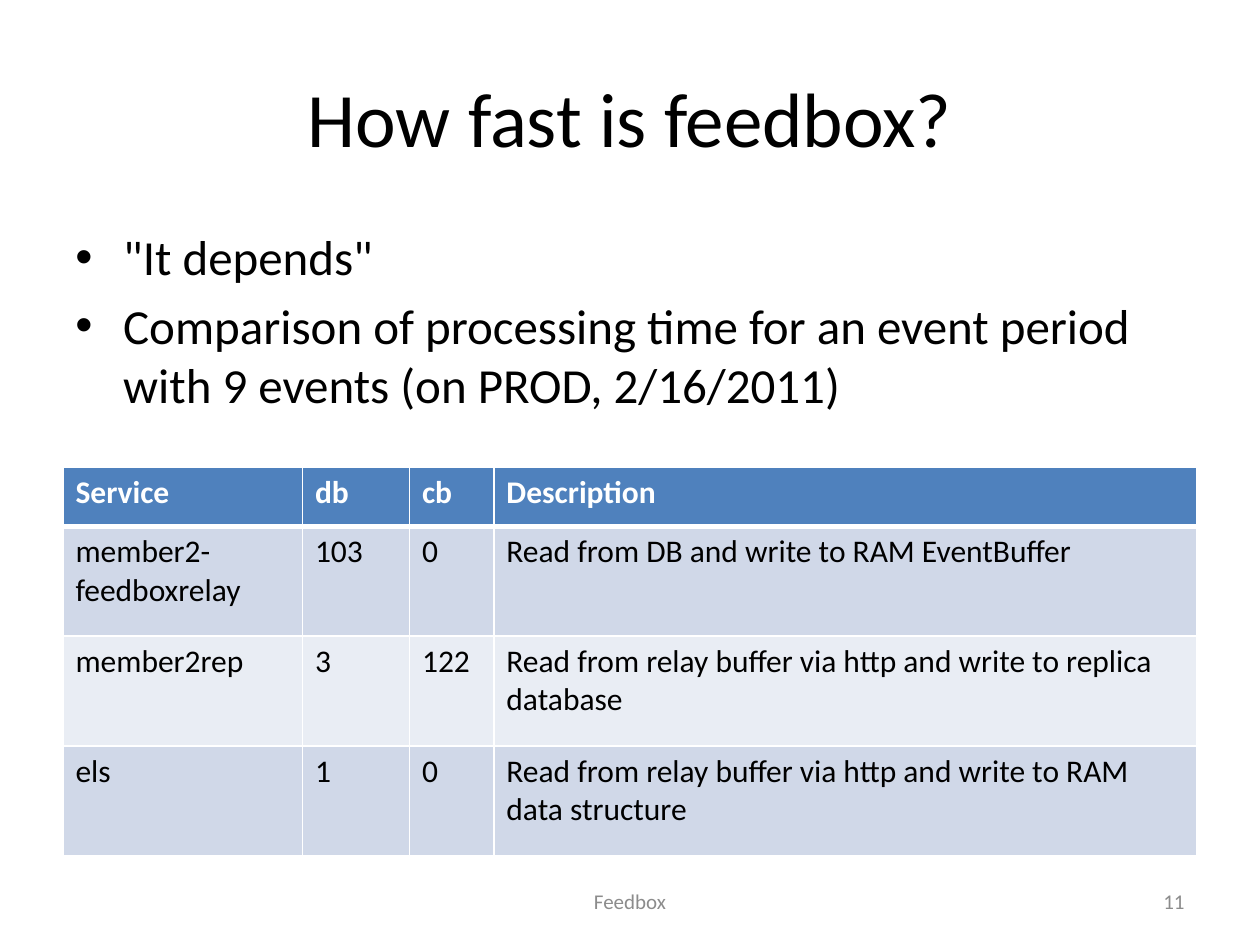
from lxml.etree import SubElement
from pptx import Presentation
from pptx.dml.color import RGBColor
from pptx.enum.text import MSO_ANCHOR, PP_ALIGN
from pptx.oxml.ns import qn
from pptx.util import Inches, Pt

# Content
TITLE = "How fast is feedbox?"
POINTS = [
    '"It depends"',
    "Comparison of processing time for an event period with 9 events (on PROD, 2/16/2011)",
]
ROWS = [
    ("Service", "db", "cb", "Description"),
    ("member2-\nfeedboxrelay", "103", "0", "Read from DB and write to RAM EventBuffer"),
    ("member2rep", "3", "122",
     "Read from relay buffer via http and write to replica database"),
    ("els", "1", "0", "Read from relay buffer via http and write to RAM data structure"),
]
FOOTER, NUMBER = "Feedbox", "11"

# Look
FONT = "Calibri"
COLORS = {"text": "000000", "white": "FFFFFF", "head": "4F81BD",
          "odd": "D0D8E8", "even": "E9EDF4", "gray": "8C8C8C"}

# Layout in inches
WIDTH, HEIGHT, EDGE = 10, 7.5, 0.5
SPAN = WIDTH - 2 * EDGE
COLS = [1.9, 0.85, 0.67, 5.58]
HEAD, BODY = 0.47, 0.87
TOP = 3.71
FOOT, LINE = 6.95, 0.4


def color(name):
    return RGBColor.from_string(COLORS[name])


def write(frame, text, size=18, ink="text", bold=False, align=PP_ALIGN.LEFT,
          anchor=MSO_ANCHOR.TOP, bullet=False):
    frame.word_wrap = True
    frame.vertical_anchor = anchor
    frame.text = text
    for par in frame.paragraphs:
        par.alignment = align
        font = par.runs[0].font
        font.name, font.size, font.bold = FONT, Pt(size), bold
        font.color.rgb = color(ink)
        if bullet:
            par.space_before = Pt(size * 0.2)
            props = par._p.get_or_add_pPr()
            props.set("marL", str(Inches(0.38)))
            props.set("indent", str(Inches(-0.38)))
            SubElement(props, qn("a:buFont"), typeface="Arial")
            SubElement(props, qn("a:buChar"), char="•")


def place(slide, box, text, **look):
    shape = slide.shapes.add_textbox(*map(Inches, box))
    write(shape.text_frame, text, **look)


def border(cell, head):
    props = cell._tc.get_or_add_tcPr()
    for side in "LRTB":
        thick = 3 if head and side == "B" else 1
        line = SubElement(props, qn(f"a:ln{side}"), w=str(Pt(thick)))
        fill = SubElement(line, qn("a:solidFill"))
        SubElement(fill, qn("a:srgbClr"), val=COLORS["white"])


def grid(slide):
    tall = [HEAD] + [BODY] * (len(ROWS) - 1)
    box = EDGE, TOP, SPAN, sum(tall)
    table = slide.shapes.add_table(len(ROWS), len(COLS), *map(Inches, box)).table
    for col, wide in zip(table.columns, COLS):
        col.width = Inches(wide)
    for i, (row, texts) in enumerate(zip(table.rows, ROWS)):
        row.height = Inches(tall[i])
        head = i == 0
        shade = "head" if head else "odd" if i % 2 else "even"
        for cell, text in zip(row.cells, texts):
            border(cell, head)
            cell.fill.solid()
            cell.fill.fore_color.rgb = color(shade)
            write(cell.text_frame, text, bold=head, ink="white" if head else "text")


def main():
    deck = Presentation()
    deck.slide_width, deck.slide_height = Inches(WIDTH), Inches(HEIGHT)
    slide = deck.slides.add_slide(deck.slide_layouts[6])
    mid = MSO_ANCHOR.MIDDLE

    # Title and points
    place(slide, (EDGE, 0.3, SPAN, 1.25), TITLE, size=44,
          align=PP_ALIGN.CENTER, anchor=mid)
    place(slide, (EDGE, 1.75, SPAN, 4.95), "\n".join(POINTS), size=28, bullet=True)

    # Table of times
    grid(slide)

    # Footer
    place(slide, (WIDTH - EDGE - 2.33, FOOT, 2.33, LINE), NUMBER, size=12,
          ink="gray", align=PP_ALIGN.RIGHT, anchor=mid)
    place(slide, ((WIDTH - 3.17) / 2, FOOT, 3.17, LINE), FOOTER, size=12,
          ink="gray", align=PP_ALIGN.CENTER, anchor=mid)
    deck.save("out.pptx")


if __name__ == "__main__":
    main()
